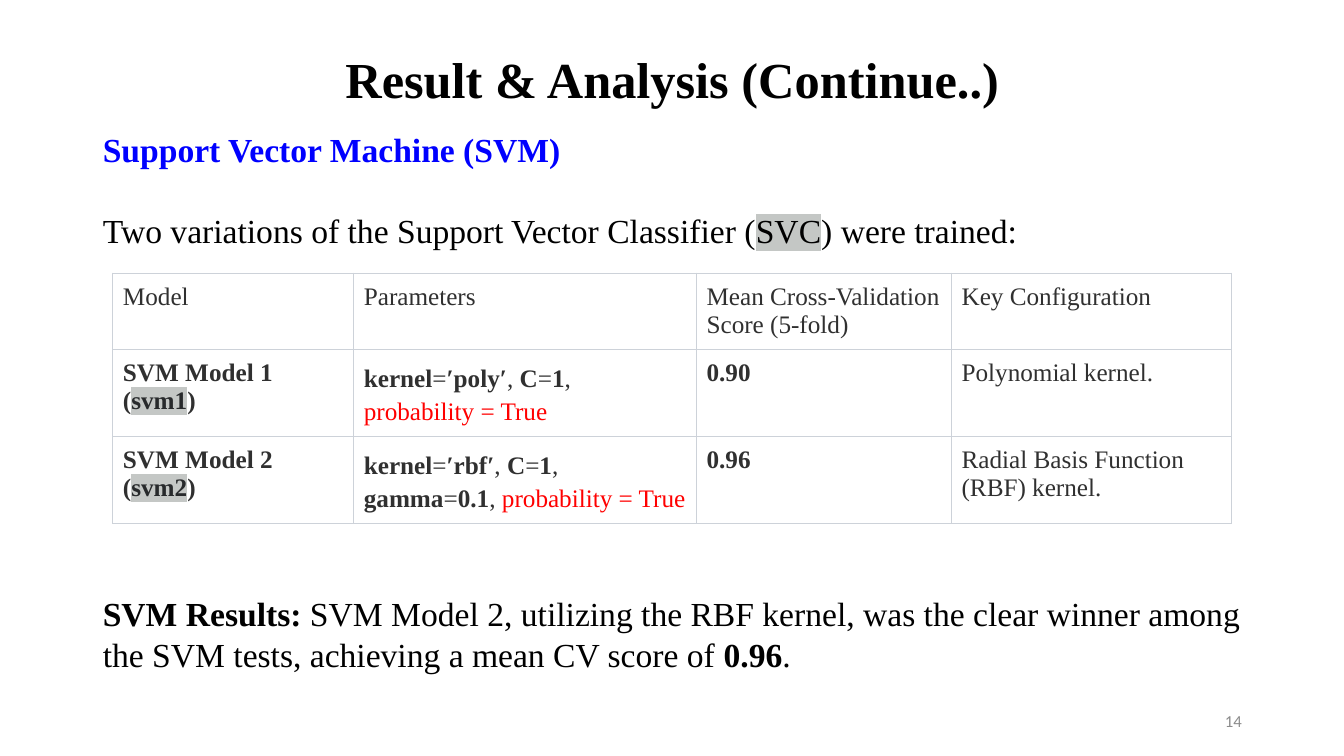
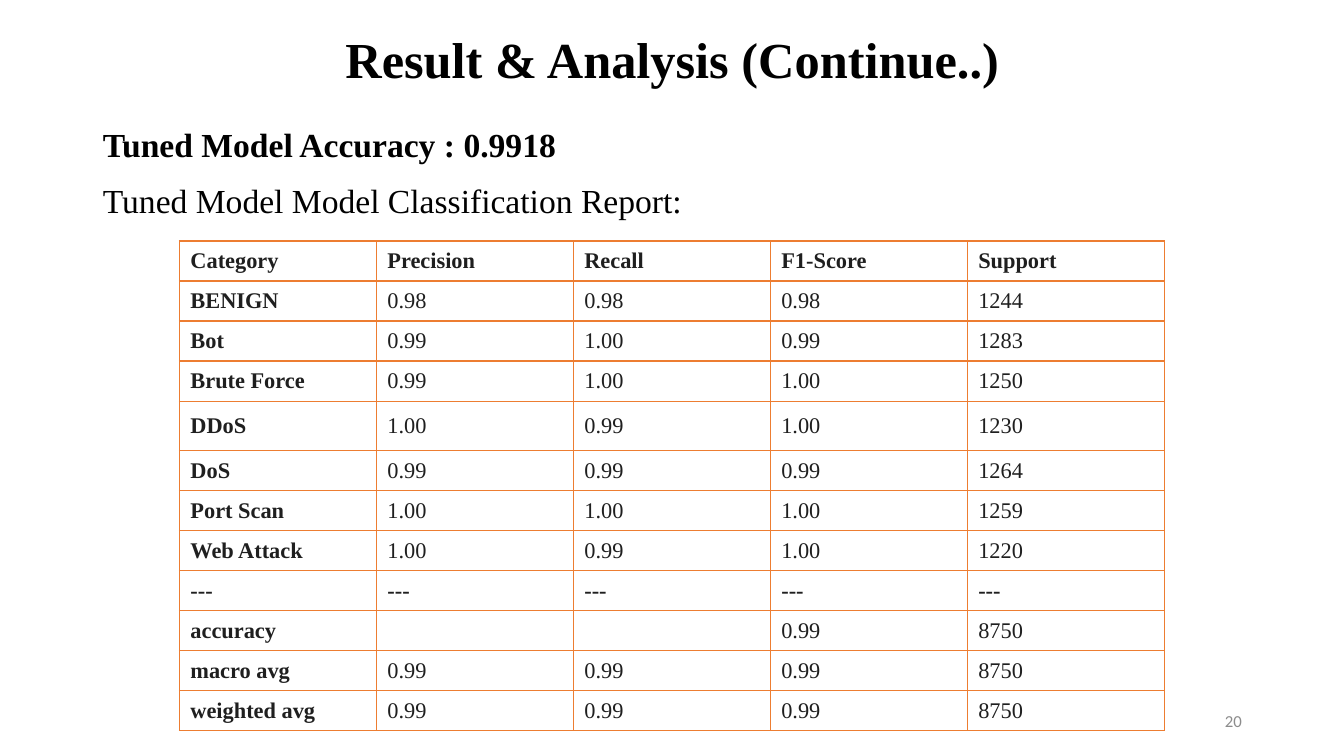
from lxml import etree
from pptx import Presentation
from pptx.dml.color import RGBColor
from pptx.enum.text import MSO_ANCHOR, MSO_AUTO_SIZE, PP_ALIGN
from pptx.oxml.ns import qn
from pptx.util import Inches, Pt

TOP, MIDDLE = MSO_ANCHOR.TOP, MSO_ANCHOR.MIDDLE
LEFT, CENTER, RIGHT = PP_ALIGN.LEFT, PP_ALIGN.CENTER, PP_ALIGN.RIGHT
NO_FIT = MSO_AUTO_SIZE.NONE
CONTENT_LAYOUT, TITLE_LAYOUT = 1, 5
PLAIN_TABLE = "{2D5ABB26-0587-4C30-8999-92F81FD0307C}"

COLORS = {
    "text": "000000", "heading": "0000FF", "cell": "303030", "code": "282A2C",
    "mark": "C4C7C5", "alert": "FF0000", "report": "1F1F1F", "number": "8C8C8C",
    "gray_line": "CDD2D9", "orange_line": "ED7D31", "white": "FFFFFF",
}
SERIF, SANS = "Times New Roman", "Calibri"
MARGIN, CONTENT_W = 0.92, 11.5
TITLE = "Result & Analysis (Continue..)"

BOLD = {"bold": True}
HEADING = {"bold": True, "color": "heading"}
MARK = {"mark": True}
CODE = {"bold": True, "color": "code", "mark": True}
ALERT = {"color": "alert"}

SVM_BODY = [
    (0, [("Support Vector Machine (SVM)", HEADING)]),
    (29, ["Two variations of the Support Vector Classifier (", ("SVC", MARK), ") were trained:"]),
    (245, [("SVM Results:", BOLD),
           " SVM Model 2, utilizing the RBF kernel, was the clear winner among the SVM tests, "
           "achieving a mean CV score of ", ("0.96", BOLD), "."]),
]


def model_cell(number):
    return [[(f"SVM Model {number} (", BOLD), (f"svm{number}", CODE), (")", BOLD)]]


def kernel_runs(kernel):
    return [("kernel", BOLD), "=", (f"′{kernel}′", BOLD), ", ", ("C", BOLD), "=", ("1", BOLD)]


PROBABILITY = ("probability = True", ALERT)
SVM_ROWS = [
    [[["Model"]], [["Parameters"]], [["Mean Cross-Validation Score (5-fold)"]],
     [["Key Configuration"]]],
    [model_cell(1), [kernel_runs("poly") + [","], [PROBABILITY]],
     [[("0.90", BOLD)]], [["Polynomial kernel."]]],
    [model_cell(2),
     [kernel_runs("rbf") + [", ", ("gamma", BOLD), "=", ("0.1", BOLD), ", ", PROBABILITY]],
     [[("0.96", BOLD)]], [["Radial Basis Function (RBF) kernel."]]],
]
SVM_COLS = [2.39, 3.4, 2.53, 2.78]
SVM_HEIGHTS = [0.75, 0.86, 0.86]
PARAMETERS_COL = 1

REPORT_HEADING = [
    [("Tuned Model Accuracy : 0.9918", BOLD)],
    ["Tuned Model Model Classification Report:"],
]
REPORT = [
    ("Category", "Precision", "Recall", "F1-Score", "Support"),
    ("BENIGN", "0.98", "0.98", "0.98", "1244"),
    ("Bot", "0.99", "1.00", "0.99", "1283"),
    ("Brute Force", "0.99", "1.00", "1.00", "1250"),
    ("DDoS", "1.00", "0.99", "1.00", "1230"),
    ("DoS", "0.99", "0.99", "0.99", "1264"),
    ("Port Scan", "1.00", "1.00", "1.00", "1259"),
    ("Web Attack", "1.00", "0.99", "1.00", "1220"),
    ("---", "---", "---", "---", "---"),
    ("accuracy", "", "", "0.99", "8750"),
    ("macro avg", "0.99", "0.99", "0.99", "8750"),
    ("weighted avg", "0.99", "0.99", "0.99", "8750"),
]
REPORT_W, REPORT_H, TALL_ROW = 9.77, 4.86, 0.49
ROW_H = (REPORT_H - TALL_ROW) / (len(REPORT) - 1)
REPORT_HEIGHTS = [TALL_ROW if row[0] == "DDoS" else ROW_H for row in REPORT]
REPORT_COLS = [REPORT_W / len(REPORT[0])] * len(REPORT[0])


def rgb(name):
    return RGBColor.from_string(COLORS[name])


def format_run(r, size, color, bold=False, mark=False, font=SERIF):
    r.font.size = Pt(size)
    r.font.bold = bold
    r.font.color.rgb = rgb(color)
    r.font.name = font
    if mark:
        highlight = etree.Element(qn("a:highlight"))
        etree.SubElement(highlight, qn("a:srgbClr"), val=COLORS["mark"])
        r.font._element.find(qn("a:solidFill")).addnext(highlight)


def add_runs(p, runs, size, color):
    for item in runs:
        text, style = (item, {}) if isinstance(item, str) else item
        r = p.add_run()
        r.text = text
        format_run(r, size, **{"color": color, **style})


def add_paragraphs(tf, paragraphs, size, color, spacing=None):
    for i, runs in enumerate(paragraphs):
        p = tf.paragraphs[0] if i == 0 else tf.add_paragraph()
        p.line_spacing = spacing
        add_runs(p, runs, size, color)


def place(sp, left, top, width, height, anchor):
    sp.left, sp.top = Inches(left), Inches(top)
    sp.width, sp.height = Inches(width), Inches(height)
    tf = sp.text_frame
    tf.word_wrap = True
    tf.auto_size = NO_FIT
    tf.vertical_anchor = anchor
    return tf


def one_line(tf, text, align, **style):
    tf.text = text
    p = tf.paragraphs[0]
    p.alignment = align
    format_run(p.runs[0], **style)
    return p


def add_page(prs, layout, title_top, title_height, number):
    s = prs.slides.add_slide(prs.slide_layouts[layout])
    tf = place(s.shapes.title, MARGIN, title_top, CONTENT_W, title_height, MIDDLE)
    p = one_line(tf, TITLE, CENTER, size=36, color="text", bold=True)
    p.line_spacing = 0.9

    sp = s.shapes.add_textbox(0, 0, 0, 0)
    tf = place(sp, 9.42, 6.95, 3, 0.4, MIDDLE)
    one_line(tf, str(number), RIGHT, size=12, color="number", font=SANS)
    return s


def set_borders(cell, color, width, bottom):
    tcPr = cell._tc.get_or_add_tcPr()
    for side, points in (("lnL", width), ("lnR", width), ("lnT", width), ("lnB", bottom)):
        ln = etree.SubElement(tcPr, qn(f"a:{side}"), w=str(Pt(points)))
        fill = etree.SubElement(ln, qn("a:solidFill"))
        etree.SubElement(fill, qn("a:srgbClr"), val=COLORS[color])


def add_grid(s, left, top, widths, heights, line, line_width, pad_x, pad_y, anchor,
             bottom=None, fill=None):
    frame = s.shapes.add_table(len(heights), len(widths), Inches(left), Inches(top),
                               Inches(sum(widths)), Inches(sum(heights)))
    table = frame.table
    table.first_row = table.horz_banding = False
    table._tbl.tblPr.find(qn("a:tableStyleId")).text = PLAIN_TABLE
    for col, width in zip(table.columns, widths):
        col.width = Inches(width)
    for row, height in zip(table.rows, heights):
        row.height = Inches(height)
    for cell in table.iter_cells():
        cell.margin_left = cell.margin_right = Inches(pad_x)
        cell.margin_top = cell.margin_bottom = Inches(pad_y)
        cell.vertical_anchor = anchor
        set_borders(cell, line, line_width, bottom or line_width)
        if fill:
            cell.fill.solid()
            cell.fill.fore_color.rgb = rgb(fill)
        else:
            cell.fill.background()
    return table


def add_svm_page(prs):
    s = add_page(prs, CONTENT_LAYOUT, 0.4, 0.83, 14)
    tf = place(s.placeholders[1], MARGIN, 1.23, CONTENT_W, 4.99, TOP)
    add_paragraphs(tf, [runs for _, runs in SVM_BODY], 24, "text", 1.0)
    for p, (before, _) in zip(tf.paragraphs, SVM_BODY):
        p.space_before = Pt(before)
        p.alignment = LEFT
        pPr = p._p.get_or_add_pPr()
        pPr.set("marL", "0")
        pPr.set("indent", "0")
        etree.SubElement(pPr, qn("a:buNone"))

    table = add_grid(s, 1.12, 2.71, SVM_COLS, SVM_HEIGHTS, "gray_line", 0.75, 0.1, 0.1, TOP)
    for i, row in enumerate(SVM_ROWS):
        for j, paragraphs in enumerate(row):
            spacing = 1.2 if i > 0 and j == PARAMETERS_COL else None
            add_paragraphs(table.cell(i, j).text_frame, paragraphs, 18, "cell", spacing)


def add_report_page(prs):
    s = add_page(prs, TITLE_LAYOUT, 0.21, 0.82, 20)
    heading = add_grid(s, MARGIN, 1.03, [8.89], [1.23], "white", 1, 0.1, 0.05, TOP,
                       bottom=3, fill="white")
    add_paragraphs(heading.cell(0, 0).text_frame, REPORT_HEADING, 24, "text", 1.5)

    table = add_grid(s, 1.78, 2.39, REPORT_COLS, REPORT_HEIGHTS, "orange_line", 1,
                     0.11, 0.07, MIDDLE)
    for i, row in enumerate(REPORT):
        for j, text in enumerate(row):
            cell = table.cell(i, j)
            if text:
                bold = i == 0 or j == 0 or text == "---"
                one_line(cell.text_frame, text, LEFT, size=16, color="report", bold=bold)
            else:
                cell.margin_top = cell.margin_bottom = 0


def main():
    prs = Presentation()
    prs.slide_width, prs.slide_height = Inches(40 / 3), Inches(7.5)
    add_svm_page(prs)
    add_report_page(prs)
    prs.save("out.pptx")


if __name__ == "__main__":
    main()
